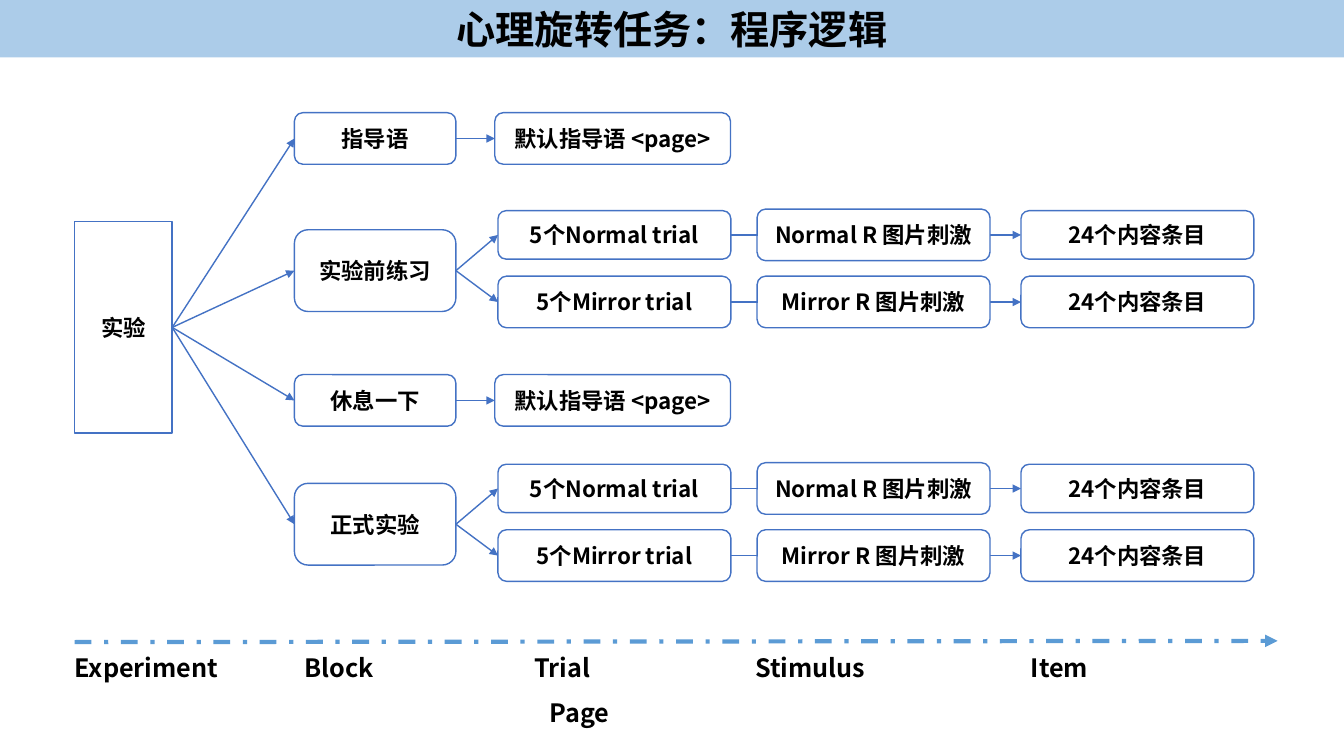
from pptx import Presentation
from pptx.dml.color import RGBColor
from pptx.enum.dml import MSO_LINE
from pptx.enum.shapes import MSO_CONNECTOR as Link, MSO_SHAPE as Form
from pptx.enum.text import MSO_ANCHOR as Anchor, PP_ALIGN as Align
from pptx.oxml.ns import qn
from pptx.util import Cm, Pt
from lxml.etree import SubElement


def color(code):
    return RGBColor.from_string(code)


class Chart:
    face = "Noto Sans CJK SC"
    ink = "000000"
    blue = "4472C4"
    sky = "5B9BD5"

    def __init__(self, slide):
        self.slide = slide
        self.shapes = slide.shapes

    def style(self, para, size):
        for run in para.runs:
            font = run.font
            font.size = Pt(size)
            font.bold = True
            font.name = self.face
            font.color.rgb = color(self.ink)
            SubElement(font._element, qn("a:ea"), typeface=self.face)

    def caption(self, shape, text, size):
        frame = shape.text_frame
        frame.word_wrap = True
        frame.vertical_anchor = Anchor.MIDDLE
        para = frame.paragraphs[0]
        para.text = text
        para.alignment = Align.CENTER
        self.style(para, size)

    def banner(self, text, width, height):
        shape = self.shapes.add_shape(Form.RECTANGLE, 0, 0, width, height)
        shape.shadow.inherit = False
        shape.fill.solid()
        shape.fill.fore_color.rgb = color(self.sky)
        tint = shape.element.spPr.find(".//" + qn("a:srgbClr"))
        SubElement(tint, qn("a:alpha"), val="50000")
        shape.line.fill.background()
        shape.text_frame.margin_top = shape.text_frame.margin_bottom = 0
        self.caption(shape, text, 28)

    def box(self, text, left, mid, width, height, form=Form.ROUNDED_RECTANGLE):
        shape = self.shapes.add_shape(
            form, Cm(left), Cm(mid - height / 2), Cm(width), Cm(height))
        shape.shadow.inherit = False
        shape.fill.solid()
        shape.fill.fore_color.rgb = color("FFFFFF")
        shape.line.color.rgb = color(self.blue)
        shape.line.width = Pt(1)
        self.caption(shape, text, 16)
        return shape

    def arrow(self, ends, code, width, dash=None):
        wire = self.shapes.add_connector(
            Link.STRAIGHT, *[Cm(end) for end in ends])
        wire.line.color.rgb = color(code)
        wire.line.width = Pt(width)
        if dash:
            wire.line.dash_style = dash
        prop = wire.element.spPr
        SubElement(prop.find(qn("a:ln")), qn("a:tailEnd"), type="triangle")
        SubElement(prop, qn("a:effectLst"))
        return wire

    def join(self, start, stop):
        wire = self.arrow((0, 0, 1, 1), self.blue, 1)
        wire.begin_connect(start, 3)
        wire.end_connect(stop, 1)

    def label(self, words, left, top, width, stops):
        shape = self.shapes.add_textbox(Cm(left), Cm(top), Cm(width), Cm(1.02))
        frame = shape.text_frame
        frame.word_wrap = True
        para = frame.paragraphs[0]
        para.text = "\t".join(words)
        tabs = SubElement(para._p.get_or_add_pPr(), qn("a:tabLst"))
        for stop in stops:
            SubElement(tabs, qn("a:tab"), pos=str(int(Cm(stop))), algn="l")
        self.style(para, 18)


def main():
    deck = Presentation()
    deck.slide_width, deck.slide_height = Cm(33.87), Cm(19.05)
    chart = Chart(deck.slides.add_slide(deck.slide_layouts[6]))

    chart.banner("心理旋转任务：程序逻辑", deck.slide_width, Cm(1.45))
    chart.arrow((1.88, 16.18, 32.2, 16.15), chart.sky, 3, MSO_LINE.DASH_DOT)
    chart.label(("Experiment", "Block", "Trial", "Stimulus", "Item"),
                1.63, 16.31, 30.25, (5.8, 11.58, 17.16, 24.1))
    chart.label(("", "Page"), 1.57, 17.45, 27.2, (12.03,))

    root = chart.box("实验", 1.88, 8.25, 2.46, 5.33, Form.RECTANGLE)
    blocks = (("指导语", 3.49, False), ("实验前练习", 6.82, True),
              ("休息一下", 10.09, False), ("正式实验", 13.21, True))
    kinds = (("Normal", -0.9, 1.22), ("Mirror", 0.79, 1.3))
    for name, mid, trials in blocks:
        block = chart.box(name, 7.42, mid, 4.07, 2.06 if trials else 1.3)
        chart.join(root, block)
        if not trials:
            page = chart.box("默认指导语 <page>", 12.47, mid, 5.94, 1.3)
            chart.join(block, page)
            continue
        for kind, shift, height in kinds:
            row = mid + shift
            trial = chart.box(f"5个{kind} trial", 12.55, row, 5.87, height)
            item = chart.box("24个内容条目", 25.73, row, 5.87, height)
            chart.join(block, trial)
            chart.join(trial, item)
            chart.box(f"{kind} R 图片刺激", 19.08, row, 5.87, 1.3)

    deck.save("out.pptx")


if __name__ == "__main__":
    main()
